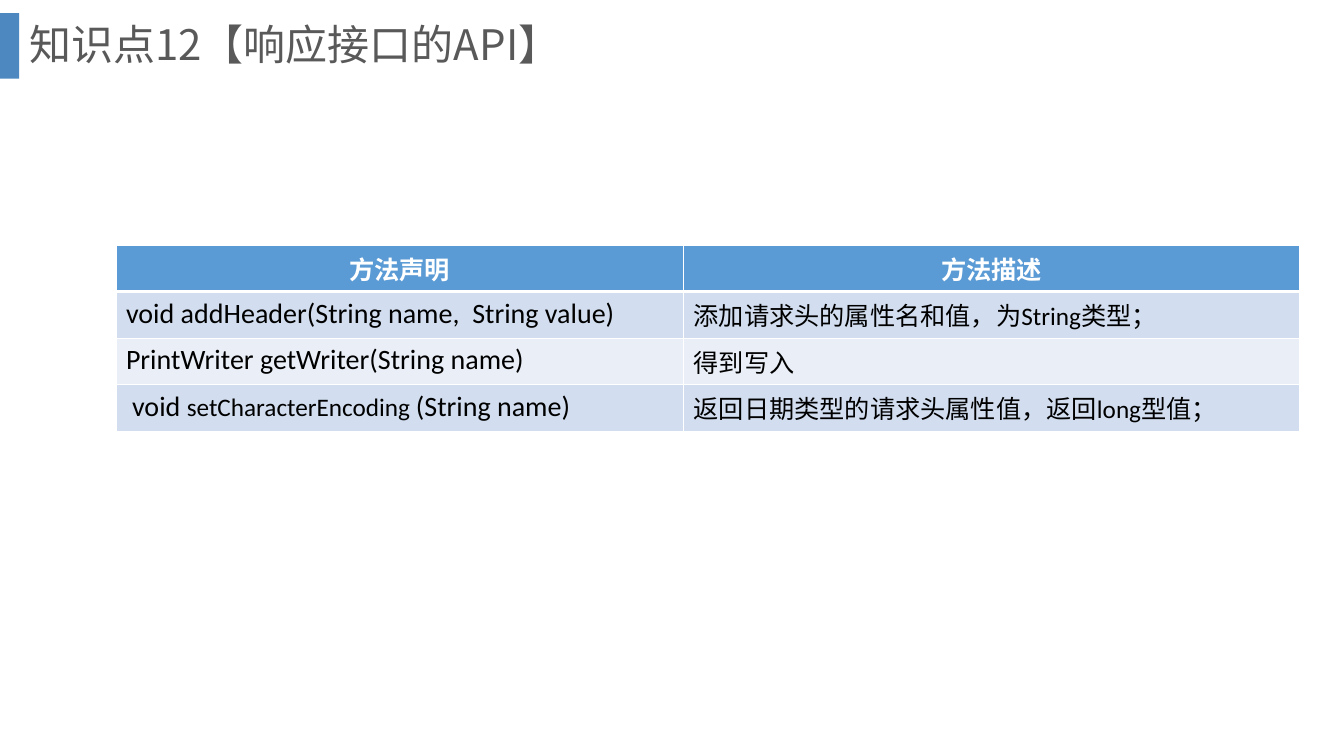
from lxml import etree
from pptx import Presentation
from pptx import util as u
from pptx.dml.color import RGBColor
from pptx.enum import shapes, text
from pptx.oxml.ns import qn

LATIN, ASIAN = "Calibri", "Noto Sans CJK SC"
HEAD = ["方法声明", "方法描述"]
# Each cell is a list of (text, size) runs
METHODS = [
    [[("void addHeader(String name,  String value)", 20)],
     [("添加请求头的属性名和值，为String类型；", 18)]],
    [[("PrintWriter getWriter(String name)", 20)],
     [("得到写入", 18)]],
    [[("void ", 20), ("setCharacterEncoding ", 18), ("(String name)", 20)],
     [("返回日期类型的请求头属性值，返回long型值；", 18)]],
]


def color(code):
    return RGBColor.from_string(code)


def style(run, size, code, latin=LATIN, bold=False):
    for name, value in {"size": u.Pt(size), "bold": bold, "name": latin}.items():
        setattr(run.font, name, value)
    run.font.color.rgb = color(code)
    asian = etree.SubElement(run.font._element, qn("a:ea"))
    asian.set("typeface", ASIAN)


def add_bar(slide):
    bar = slide.shapes.add_shape(shapes.MSO_SHAPE.RECTANGLE, 0, u.Inches(0.13),
                                 u.Inches(0.19), u.Inches(0.65))
    bar.shadow.inherit = False
    bar.line.fill.background()
    bar.fill.solid()
    bar.fill.fore_color.rgb = color("2E75B6")
    tint = bar.fill._xPr.find(".//" + qn("a:srgbClr"))
    etree.SubElement(tint, qn("a:alpha")).set("val", "85000")


def set_title(slide, words):
    title = slide.shapes.title
    box = {"left": 0.19, "top": 0, "width": 12.66, "height": 0.93}
    for name, value in box.items():
        setattr(title, name, u.Inches(value))
    frame = title.text_frame
    frame.vertical_anchor = text.MSO_ANCHOR.MIDDLE
    para = frame.paragraphs[0]
    para.alignment = text.PP_ALIGN.LEFT
    para.line_spacing = 0.9
    run = para.add_run()
    run.text = words
    style(run, 30, "595959", latin=ASIAN)


def set_edges(cell, top, bottom):
    props = cell._tc.get_or_add_tcPr()
    for side, width in {"L": 1, "R": 1, "T": top, "B": bottom}.items():
        edge = etree.SubElement(props, qn("a:ln" + side), w=str(u.Pt(width)))
        fill = etree.SubElement(edge, qn("a:solidFill"))
        etree.SubElement(fill, qn("a:srgbClr"), val="FFFFFF")


def fill_cell(cell, runs, back, fore, head=False):
    cell.fill.solid()
    cell.fill.fore_color.rgb = color(back)
    para = cell.text_frame.paragraphs[0]
    para.alignment = text.PP_ALIGN.CENTER if head else text.PP_ALIGN.LEFT
    for words, size in runs:
        run = para.add_run()
        run.text = words
        style(run, size, fore, bold=head)


def add_grid(slide):
    rows = [[[(name, 18)] for name in HEAD]] + METHODS
    grid = slide.shapes.add_table(len(rows), len(HEAD), u.Inches(1.15), u.Inches(2.43),
                                  u.Inches(11.74), u.Inches(1.84)).table
    for col, width in zip(grid.columns, (5.63, 6.11)):
        col.width = u.Inches(width)
    for i, row in enumerate(rows):
        head = i == 0
        grid.rows[i].height = u.Inches(0.46)
        back = "5B9BD5" if head else ("EAEFF7", "D2DEEF")[i % 2]
        for j, runs in enumerate(row):
            cell = grid.cell(i, j)
            set_edges(cell, 3 if i == 1 else 1, 3 if head else 1)
            fill_cell(cell, runs, back, "FFFFFF" if head else "000000", head)
    # The last method is set in slightly
    grid.cell(len(rows) - 1, 0).margin_left = u.Inches(0.16)


def main():
    deck = Presentation()
    deck.slide_width, deck.slide_height = u.Inches(13.33), u.Inches(7.5)
    slide = deck.slides.add_slide(deck.slide_layouts[5])
    add_bar(slide)
    set_title(slide, "知识点12【响应接口的API】")
    add_grid(slide)
    deck.save("out.pptx")


if __name__ == "__main__":
    main()
